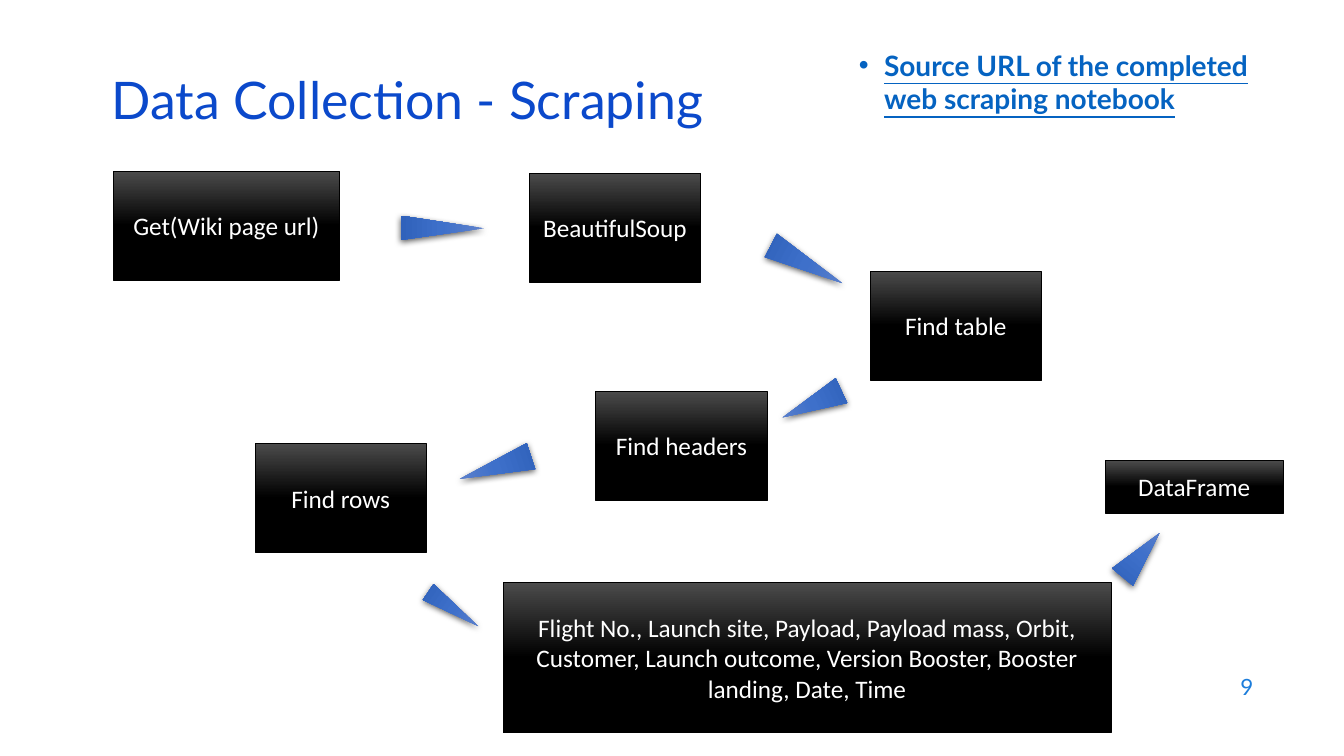
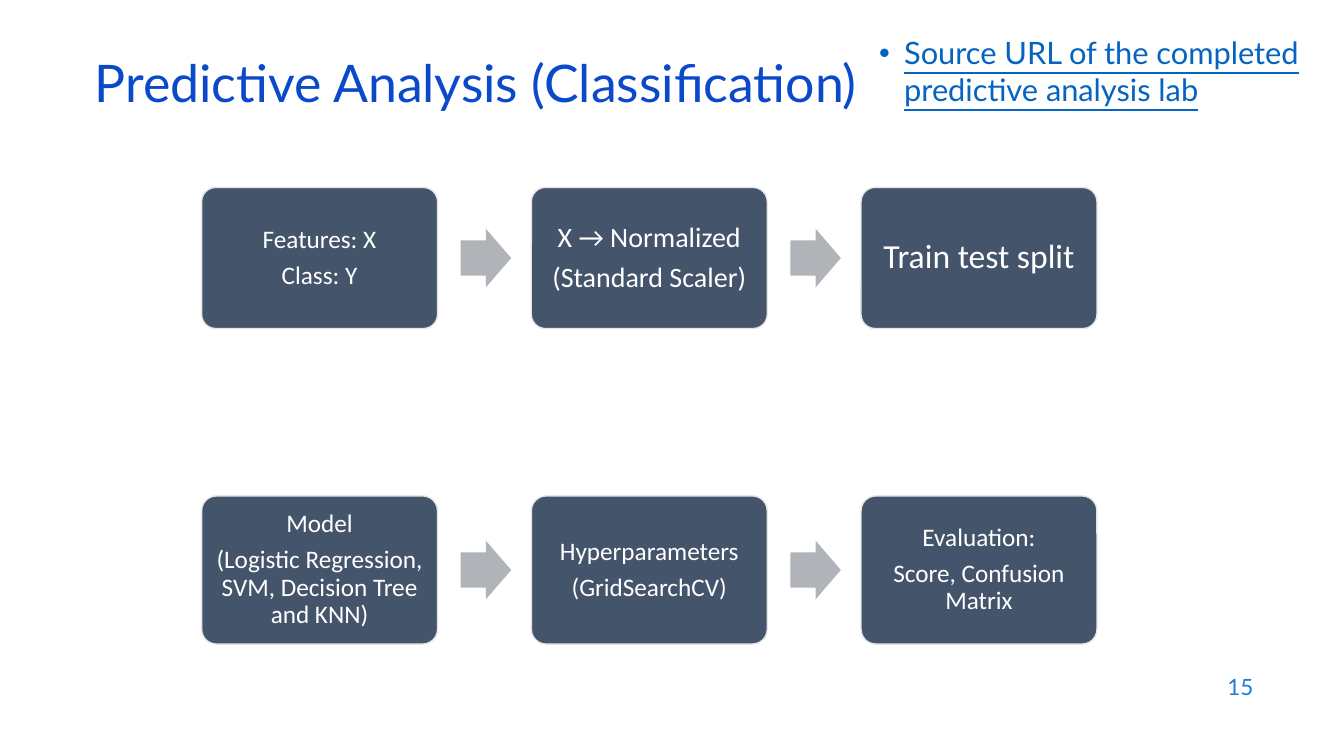
from lxml.etree import SubElement
from pptx import Presentation
from pptx.dml.color import RGBColor
from pptx.enum.shapes import MSO_SHAPE
from pptx.enum.text import MSO_ANCHOR, MSO_AUTO_SIZE, PP_ALIGN
from pptx.oxml.ns import qn
from pptx.util import Inches, Pt

TITLE_BLUE = "0B49CB"
NUMBER_BLUE = "1C7DDB"
LINK_BLUE = "0563C1"
WHITE = "FFFFFF"
BLACK = "000000"
STEP_FILL = "44546A"
STEP_LINE = "E7E6E6"
ARROW_GREY = "B0B4B9"
BOX_STOPS = [(0, "4B4B4B"), (50, BLACK), (100, BLACK)]
WEDGE_STOPS = [(0, "6183CB"), (50, "3E70CA"), (100, "3062BB")]

TITLE_FORMAT = {"name": "Lato", "size": Pt(37)}
NUMBER_FORMAT = {"name": "Lato", "size": Pt(16)}
BOX_FORMAT = {"name": "Calibri", "size": Pt(18)}

SCRAPING_BOXES = [
    ("Get(Wiki page url)", 1.12, 1.7, 2.25, 1.08),
    ("BeautifulSoup", 5.25, 1.72, 1.7, 1.08),
    ("Find table", 8.63, 2.69, 1.7, 1.08),
    ("Find headers", 5.91, 3.88, 1.7, 1.08),
    ("Find rows", 2.53, 4.4, 1.7, 1.08),
    ("Flight No., Launch site, Payload, Payload mass, Orbit, Customer, "
     "Launch outcome, Version Booster, Booster landing, Date, Time",
     4.99, 5.78, 6.03, 1.49),
    ("DataFrame", 10.96, 4.57, 1.77, 0.52),
]
SCRAPING_WEDGES = [
    (4.27, 1.85, 0.24, 0.82, 90),
    (7.87, 2.22, 0.26, 0.8, 117.5),
    (7.92, 3.69, 0.27, 0.64, 245),
    (4.78, 4.27, 0.27, 0.74, 251.9),
    (4.4, 5.74, 0.19, 0.6, 124),
    (11.18, 5.22, 0.27, 0.57, 39.6),
]
STEP_LEFT, STEP_WIDTH, STEP_PITCH = 2, 2.34, 3.27
ARROW_WIDTH, ARROW_HEIGHT, ARROW_OFFSET = 0.5, 0.58, 2.57
STEP_ROWS = [
    (1.86, 1.4, [
        (18, 0.07, ["Features: X", "Class: Y"]),
        (20, 0.08, ["X → Normalized", "(Standard Scaler)"]),
        (24, 0.1, ["Train test split"]),
    ]),
    (4.92, 1.47, [
        (18, 0.07, ["Model", "(Logistic Regression, SVM, Decision Tree and KNN)"]),
        (18, 0.07, ["Hyperparameters", "(GridSearchCV)"]),
        (18, 0.07, ["Evaluation:", "Score, Confusion Matrix"]),
    ]),
]


def color(value):
    return RGBColor.from_string(value)


def apply(target, values):
    for name, value in values.items():
        setattr(target, name, value)


def write(para, text, font_format, text_color, **layout):
    span = para.add_run()
    span.text = text
    apply(para, layout)
    apply(span.font, font_format)
    span.font.color.rgb = color(text_color)


def add_text_box(page, left, top, width, height):
    box = page.shapes.add_textbox(*map(Inches, (left, top, width, height)))
    box.text_frame.word_wrap = True
    return box


def add_preset(page, preset, left, top, width, height, adjustments=()):
    shape = page.shapes.add_shape(preset, *map(Inches, (left, top, width, height)))
    shape.shadow.inherit = False
    for index, value in enumerate(adjustments):
        shape.adjustments[index] = value
    return shape


def fill_solid(shape, value):
    shape.fill.solid()
    shape.fill.fore_color.rgb = color(value)


def fill_gradient(shape, stops):
    shape.fill.gradient()
    shape.fill.gradient_angle = 270
    stop_list = shape.element.spPr.find(qn("a:gradFill")).find(qn("a:gsLst"))
    for old_stop in list(stop_list):
        stop_list.remove(old_stop)
    for position, value in stops:
        stop = SubElement(stop_list, qn("a:gs"), pos=str(position * 1000))
        SubElement(stop, qn("a:srgbClr"), val=value)


def set_line(shape, value, width):
    shape.line.color.rgb = color(value)
    shape.line.width = Pt(width)


def add_shadow(shape):
    effects = shape.element.spPr.find(qn("a:effectLst"))
    shadow = SubElement(effects, qn("a:outerShdw"), blurRad=str(Pt(4.5)),
                        dist=str(Pt(1.5)), dir="5400000", algn="ctr", rotWithShape="0")
    shade = SubElement(shadow, qn("a:srgbClr"), val=BLACK)
    SubElement(shade, qn("a:alpha"), val="63000")


def add_page(deck, title, left, top, number):
    page = deck.slides.add_slide(deck.slide_layouts[5])
    heading = page.shapes.title
    apply(heading, {"left": Inches(left), "top": Inches(top),
                    "width": Inches(11.5), "height": Inches(0.6)})
    apply(heading.text_frame, {"word_wrap": True, "auto_size": MSO_AUTO_SIZE.NONE,
                               "vertical_anchor": MSO_ANCHOR.MIDDLE})
    write(heading.text_frame.paragraphs[0], title, TITLE_FORMAT, TITLE_BLUE,
          alignment=PP_ALIGN.LEFT, line_spacing=0.7)
    box = add_text_box(page, 9.53, 6.59, 3, 0.44)
    box.text_frame.vertical_anchor = MSO_ANCHOR.MIDDLE
    write(box.text_frame.paragraphs[0], str(number), NUMBER_FORMAT, NUMBER_BLUE,
          alignment=PP_ALIGN.RIGHT)
    return page


def add_link_note(page, text, left, top, width, height, size, bold):
    box = add_text_box(page, left, top, width, height)
    para = box.text_frame.paragraphs[0]
    properties = para._p.get_or_add_pPr()
    properties.set("marL", str(Inches(0.25)))
    properties.set("indent", str(Inches(-0.25)))
    SubElement(properties, qn("a:buFont"), typeface="Arial")
    SubElement(properties, qn("a:buChar"), char="•")
    write(para, text, {"name": "Lato", "size": Pt(size), "bold": bold, "underline": True},
          LINK_BLUE)


def add_process_box(page, text, *place):
    box = add_preset(page, MSO_SHAPE.RECTANGLE, *place)
    fill_gradient(box, BOX_STOPS)
    set_line(box, BLACK, 0.5)
    write(box.text_frame.paragraphs[0], text, BOX_FORMAT, WHITE, alignment=PP_ALIGN.CENTER)


def add_wedge(page, left, top, width, height, rotation):
    wedge = add_preset(page, MSO_SHAPE.ISOSCELES_TRIANGLE, left, top, width, height, [0.52])
    wedge.rotation = rotation
    fill_gradient(wedge, WEDGE_STOPS)
    wedge.line.fill.background()
    add_shadow(wedge)


def add_step(page, left, top, height, size, inset, lines):
    step = add_preset(page, MSO_SHAPE.ROUNDED_RECTANGLE, left, top, STEP_WIDTH, height, [0.1])
    fill_solid(step, STEP_FILL)
    set_line(step, STEP_LINE, 1)
    frame = step.text_frame
    for side in ("left", "top", "right", "bottom"):
        setattr(frame, f"margin_{side}", Inches(inset))
    for index, line in enumerate(lines):
        para = frame.add_paragraph() if index else frame.paragraphs[0]
        write(para, line, {"name": "Calibri", "size": Pt(size)}, WHITE,
              alignment=PP_ALIGN.CENTER, line_spacing=0.9, space_after=Pt(size * 0.35))


def add_step_arrow(page, left, middle):
    arrow = add_preset(page, MSO_SHAPE.RIGHT_ARROW, left, middle - ARROW_HEIGHT / 2,
                       ARROW_WIDTH, ARROW_HEIGHT, [0.6, 0.5])
    fill_solid(arrow, ARROW_GREY)
    arrow.line.fill.background()


def build_scraping(deck):
    page = add_page(deck, "Data Collection - Scraping", 1.01, 0.76, 9)
    add_link_note(page, "Source URL of the completed web scraping notebook",
                  8.42, 0.43, 4.3, 0.96, 20, True)
    for box in SCRAPING_BOXES:
        add_process_box(page, *box)
    for wedge in SCRAPING_WEDGES:
        add_wedge(page, *wedge)


def build_classification(deck):
    page = add_page(deck, "Predictive Analysis (Classification)", 0.84, 0.59, 15)
    for top, height, steps in STEP_ROWS:
        for column, step in enumerate(steps):
            left = STEP_LEFT + column * STEP_PITCH
            add_step(page, left, top, height, *step)
            if column < len(steps) - 1:
                add_step_arrow(page, left + ARROW_OFFSET, top + height / 2)
    add_link_note(page, "Source URL of the completed predictive analysis lab",
                  8.62, 0.29, 4.53, 0.94, 22, False)


def main():
    deck = Presentation()
    apply(deck, {"slide_width": Inches(13.33), "slide_height": Inches(7.5)})
    build_scraping(deck)
    build_classification(deck)
    deck.save("out.pptx")


if __name__ == "__main__":
    main()
